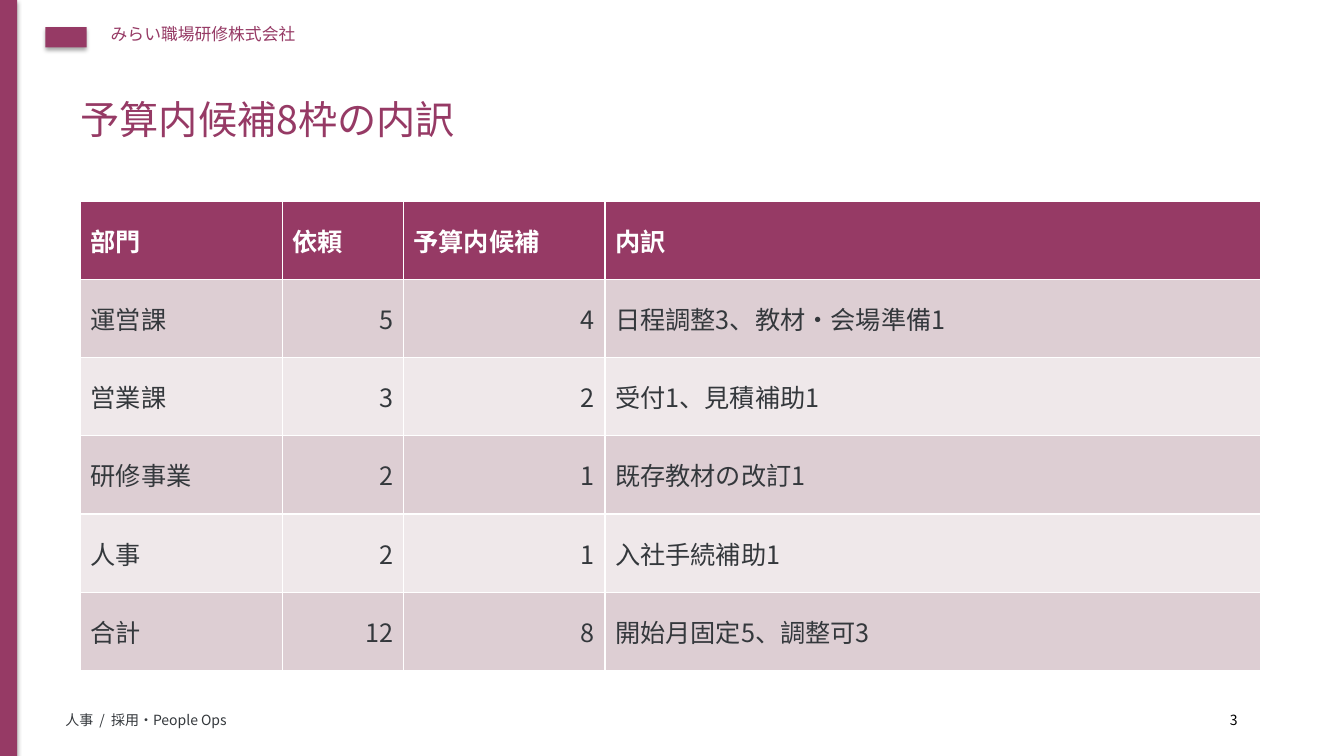
import pptx
import pptx.util
import pptx.dml.color
import pptx.enum.shapes
import pptx.enum.text
import pptx.oxml
import pptx.oxml.ns
import lxml.etree

Inches = pptx.util.Inches
RGBColor = pptx.dml.color.RGBColor
Align = pptx.enum.text.PP_ALIGN
Anchor = pptx.enum.text.MSO_ANCHOR

TITLE = "予算内候補8枠の内訳"
LABELS = [
    ("みらい職場研修株式会社", (1, 0.19, 8, 0.4), 12, "plum"),
    ("人事  /  採用・People Ops", (0.55, 7.01, 10, 0.3), 10, "ink"),
    ("3", (12.1, 7.01, 0.5, 0.25), 10, "black"),
]
ROWS = [
    ("部門", "依頼", "予算内候補", "内訳"),
    ("運営課", "5", "4", "日程調整3、教材・会場準備1"),
    ("営業課", "3", "2", "受付1、見積補助1"),
    ("研修事業", "2", "1", "既存教材の改訂1"),
    ("人事", "2", "1", "入社手続補助1"),
    ("合計", "12", "8", "開始月固定5、調整可3"),
]
WIDTHS = (2, 1.2, 2, 6.5)
BLOCKS = [(0, 0, 0.17, 7.5), (0.45, 0.27, 0.41, 0.2)]

FONT = "Noto Sans CJK JP"
PLUM = RGBColor(0x96, 0x3A, 0x65)
INK = RGBColor(0x34, 0x38, 0x3C)
BLACK = RGBColor(0, 0, 0)
WHITE = RGBColor(0xFF, 0xFF, 0xFF)
BANDS = (RGBColor(0xEF, 0xE8, 0xEA), RGBColor(0xDD, 0xCE, 0xD3))
COLORS = {"plum": PLUM, "ink": INK, "black": BLACK}
SHADOW = (
    '<a:effectLst xmlns:a="http://schemas.openxmlformats.org/drawingml/2006/main">'
    '<a:outerShdw blurRad="39370" dist="22860" dir="5400000" rotWithShape="0">'
    '<a:srgbClr val="000000"><a:alpha val="35000"/></a:srgbClr>'
    '</a:outerShdw></a:effectLst>'
)


def write(frame, text, size, color, bold=False, align=Align.LEFT):
    frame.text = text
    para = frame.paragraphs[0]
    para.alignment = align
    font = para.font
    font.size = pptx.util.Pt(size)
    font.bold = bold
    font.color.rgb = color
    font.name = FONT
    props = para._p.pPr.find(pptx.oxml.ns.qn("a:defRPr"))
    east = lxml.etree.SubElement(props, pptx.oxml.ns.qn("a:ea"))
    east.set("typeface", FONT)


def add_block(slide, box):
    kind = pptx.enum.shapes.MSO_SHAPE.RECTANGLE
    block = slide.shapes.add_shape(kind, *map(Inches, box))
    block.fill.solid()
    block.fill.fore_color.rgb = PLUM
    block.line.fill.background()
    block._element.spPr.append(pptx.oxml.parse_xml(SHADOW))


def add_label(slide, text, box, size, color):
    frame = slide.shapes.add_textbox(*map(Inches, box)).text_frame
    frame.word_wrap = True
    write(frame, text, size, COLORS[color])


def add_grid(slide):
    box = (0.8, 2, sum(WIDTHS), 4.65)
    grid = slide.shapes.add_table(len(ROWS), len(WIDTHS), *map(Inches, box)).table
    for col, width in zip(grid.columns, WIDTHS):
        col.width = Inches(width)
    for r, row in enumerate(ROWS):
        head = r == 0
        for c, text in enumerate(row):
            cell = grid.cell(r, c)
            cell.fill.solid()
            cell.fill.fore_color.rgb = PLUM if head else BANDS[r % 2]
            cell.vertical_anchor = Anchor.MIDDLE
            align = Align.RIGHT if text.isdigit() else Align.LEFT
            write(cell.text_frame, text, 18, WHITE if head else INK, head, align)


def main():
    deck = pptx.Presentation()
    deck.slide_width = Inches(13.33)
    deck.slide_height = Inches(7.5)
    slide = deck.slides.add_slide(deck.slide_layouts[5])
    for box in BLOCKS:
        add_block(slide, box)
    title = slide.shapes.title
    title.left, title.top, title.width, title.height = map(Inches, (0.7, 0.9, 11.8, 0.85))
    title.text_frame.vertical_anchor = Anchor.TOP
    write(title.text_frame, TITLE, 28, PLUM)
    for label in LABELS:
        add_label(slide, *label)
    add_grid(slide)
    deck.save("out.pptx")


if __name__ == "__main__":
    main()
